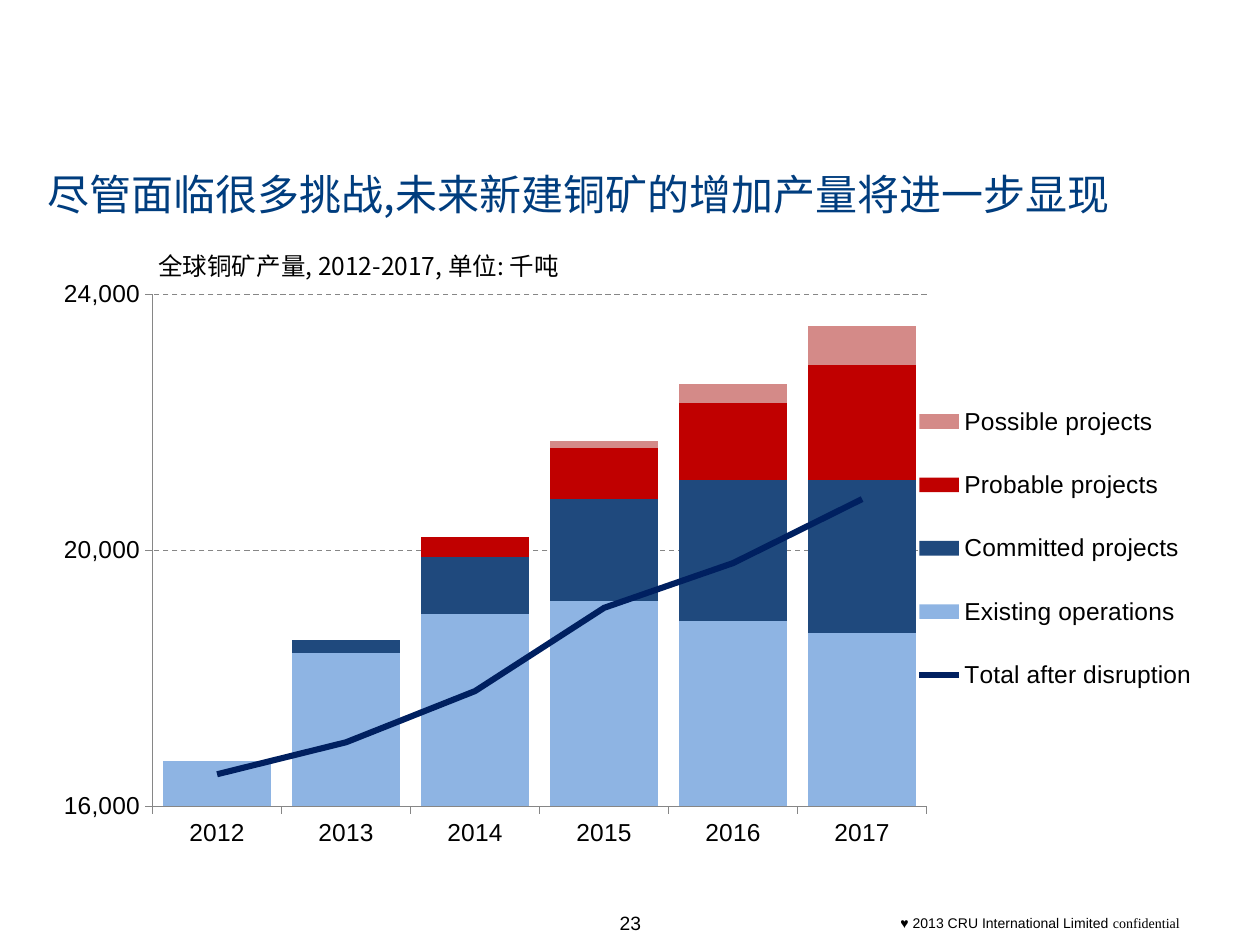
import pptx
import pptx.chart.data
import pptx.dml.color
import pptx.enum.chart
import pptx.enum.dml
import pptx.enum.text
import pptx.oxml
import pptx.oxml.ns
import pptx.util

PX = 914400 / 126
THEME = {
    "black": "000000", "title": "003D7E", "grid": "868686",
    "sans": "Arial", "serif": "Times New Roman", "cjk": "Noto Sans CJK SC",
    "title_size": 24, "body_size": 14, "page_size": 11, "footer_size": 8,
}
qn = pptx.oxml.ns.qn


def style(font, size, name, color=THEME["black"]):
    font.size = pptx.util.Pt(size)
    font.name = name
    font.color.rgb = pptx.dml.color.RGBColor.from_string(color)


def add_text(box, runs, wrap=True, align=None, color=THEME["black"]):
    tb = s.shapes.add_textbox(*[round(v * PX) for v in box])
    tf = tb.text_frame
    tf.word_wrap = wrap
    tf.vertical_anchor = pptx.enum.text.MSO_ANCHOR.MIDDLE
    p = tf.paragraphs[0]
    p.alignment = align
    for text, size, name in runs:
        r = p.add_run()
        r.text = text
        style(r.font, size, name, color)
        if name == THEME["cjk"]:
            ea = pptx.oxml.parse_xml(f'<a:ea {pptx.oxml.ns.nsdecls("a")} typeface="{name}"/>')
            r.font._element.find(qn("a:latin")).addnext(ea)


prs = pptx.Presentation()
prs.slide_width = round(1260 * PX)
prs.slide_height = round(945 * PX)
s = prs.slides.add_slide(prs.slide_layouts[6])

# Footer and page number
add_text((888, 908, 372, 30),
         [("♥ 2013 CRU International Limited ", THEME["footer_size"], THEME["sans"]),
          ("confidential", THEME["footer_size"], THEME["serif"])])
add_text((606, 905, 49, 36), [("23", THEME["page_size"], THEME["sans"])],
         wrap=False, align=pptx.enum.text.PP_ALIGN.CENTER)

# Title
add_text((35, 164, 1201, 60),
         [("尽管面临很多挑战,未来新建铜矿的增加产量将进一步显现", THEME["title_size"], THEME["cjk"])],
         color=THEME["title"])

# Chart data: stacked columns, with the total as the last series
series = [
    ("Existing operations", "8EB4E3", (16700, 18400, 19000, 19200, 18900, 18700)),
    ("Committed projects", "1F497D", (0, 200, 900, 1600, 2200, 2400)),
    ("Probable projects", "C00000", (0, 0, 300, 800, 1200, 1800)),
    ("Possible projects", "D48A88", (0, 0, 0, 100, 300, 600)),
    ("Total after disruption", "002060", (16500, 17000, 17800, 19100, 19800, 20800)),
]
data = pptx.chart.data.CategoryChartData(number_format="#,##0")
data.categories = [str(year) for year in range(2012, 2018)]
for name, color, values in series:
    data.add_series(name, values)
chart = s.shapes.add_chart(
    pptx.enum.chart.XL_CHART_TYPE.COLUMN_STACKED,
    *[round(v * PX) for v in (42, 272, 1164, 588)], data).chart
chart.has_title = False
style(chart.font, THEME["body_size"], THEME["sans"])

plot = chart.plots[0]
plot.gap_width = 20
plot.overlap = 100
plot.vary_by_categories = False
columns = list(plot.series)
total = columns.pop()
for ser, (name, color, values) in zip(columns, series):
    ser.format.fill.solid()
    ser.format.fill.fore_color.rgb = pptx.dml.color.RGBColor.from_string(color)
total.format.line.color.rgb = pptx.dml.color.RGBColor.from_string(series[-1][1])
total.format.line.width = pptx.util.Pt(3.5)

# Axes
value_axis, category_axis = chart.value_axis, chart.category_axis
value_axis.minimum_scale = 16000
value_axis.maximum_scale = 24000
value_axis.major_unit = 4000
value_axis.tick_labels.number_format = "#,##0"
value_axis.tick_labels.number_format_is_linked = False
value_axis.has_major_gridlines = True
grid = value_axis.major_gridlines.format.line
grid.dash_style = pptx.enum.dml.MSO_LINE.DASH
for line in (grid, value_axis.format.line, category_axis.format.line):
    line.color.rgb = pptx.dml.color.RGBColor.from_string(THEME["grid"])
    line.width = pptx.util.Pt(0.75)
for axis in (value_axis, category_axis):
    axis.major_tick_mark = pptx.enum.chart.XL_TICK_MARK.OUTSIDE
    style(axis.tick_labels.font, THEME["body_size"], THEME["sans"])

# Legend
chart.has_legend = True
legend = chart.legend
legend.position = pptx.enum.chart.XL_LEGEND_POSITION.RIGHT
legend.include_in_layout = False
style(legend.font, THEME["body_size"], THEME["sans"])

# Move the total from the columns to a line on the same axes
ns = pptx.oxml.ns.nsdecls("c")
bar_xml, ser_xml = plot._element, total._element
line_xml = pptx.oxml.parse_xml(
    f'<c:lineChart {ns}><c:grouping val="standard"/><c:varyColors val="0"/></c:lineChart>')
for flag in ser_xml.findall(qn("c:invertIfNegative")):
    ser_xml.remove(flag)
marker = pptx.oxml.parse_xml(f'<c:marker {ns}><c:symbol val="none"/></c:marker>')
ser_xml.find(qn("c:spPr")).addnext(marker)
ser_xml.append(pptx.oxml.parse_xml(f'<c:smooth {ns} val="0"/>'))
line_xml.append(ser_xml)
for ax_id in bar_xml.findall(qn("c:axId")):
    line_xml.append(pptx.oxml.parse_xml(f'<c:axId {ns} val="{ax_id.get("val")}"/>'))
bar_xml.addnext(line_xml)

# Fixed places for the plot area and the legend
plot_area = bar_xml.getparent()
for parent, index, target, box in (
        (plot_area, 0, '<c:layoutTarget val="inner"/>', (0.095, 0.038, 0.665, 0.871)),
        (legend._element, 1, "", (0.76, 0.17, 0.24, 0.6))):
    for old in parent.findall(qn("c:layout")):
        parent.remove(old)
    modes = '<c:xMode val="edge"/><c:yMode val="edge"/>'
    sizes = "".join(f'<c:{k} val="{v}"/>' for k, v in zip("xywh", box))
    parent.insert(index, pptx.oxml.parse_xml(
        f'<c:layout {ns}><c:manualLayout>{target}{modes}{sizes}</c:manualLayout></c:layout>'))

# Chart heading
add_text((146, 244, 459, 43),
         [("全球铜矿产量, 2012-2017, 单位: 千吨", THEME["body_size"], THEME["cjk"])], wrap=False)

prs.save("out.pptx")
